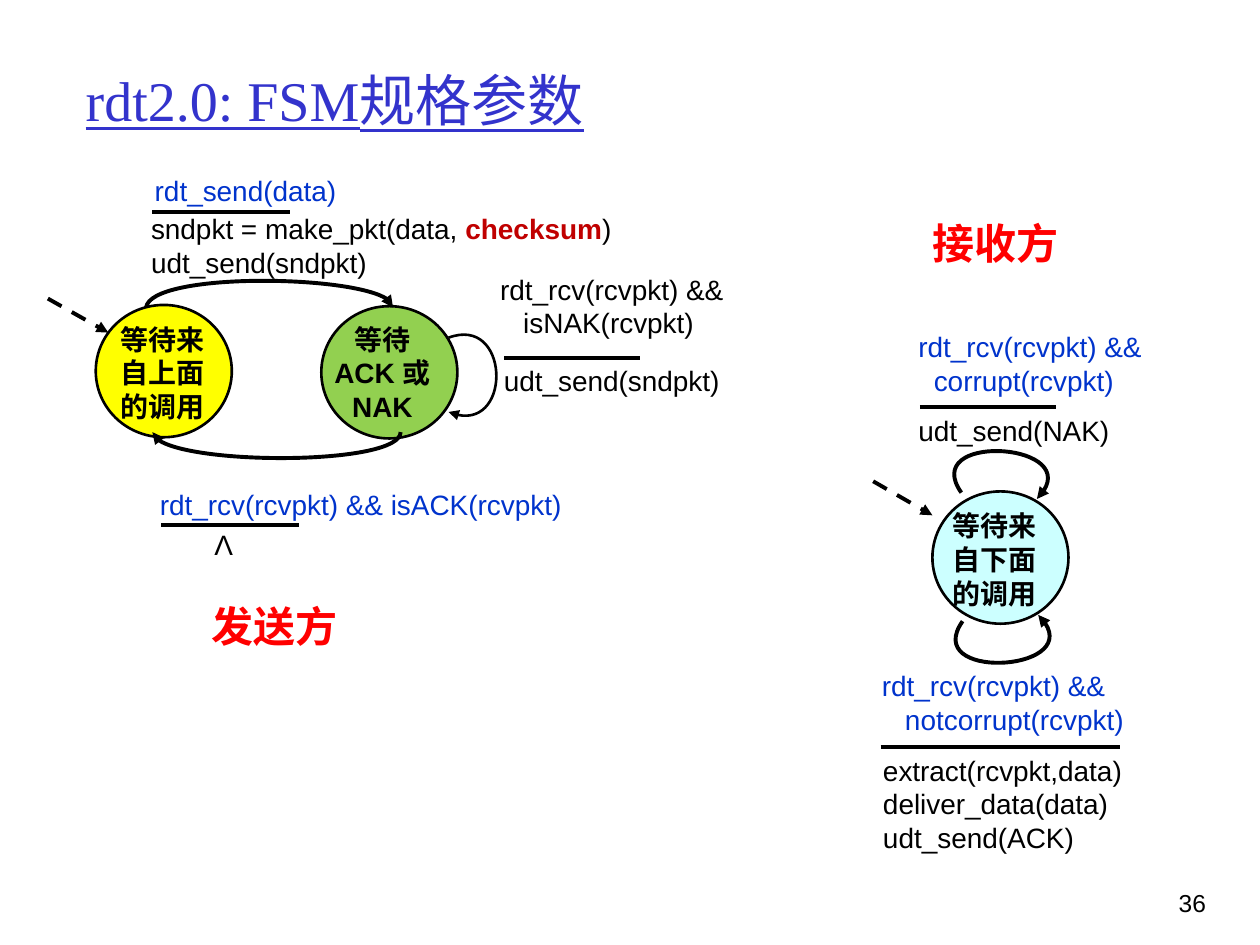
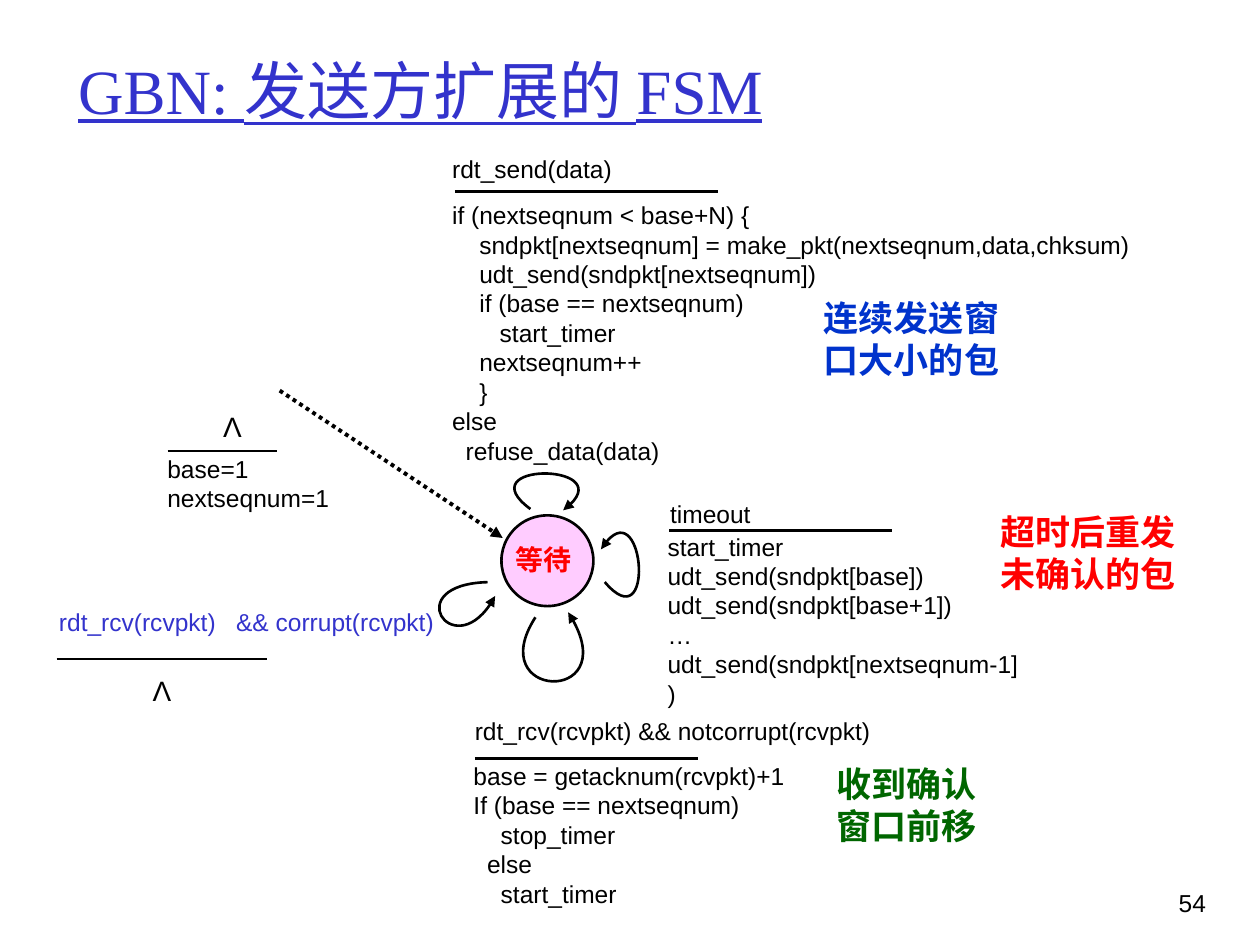
import dataclasses

import lxml.etree
import pptx
import pptx.dml.color
import pptx.enum.dml
import pptx.enum.shapes
import pptx.enum.text
import pptx.oxml.ns
import pptx.util

Inches = pptx.util.Inches
Pt = pptx.util.Pt
Align = pptx.enum.text.PP_ALIGN
Dash = pptx.enum.dml.MSO_LINE
qn = pptx.oxml.ns.qn

COLORS = {
    "ink": "000000", "title": "3333CC", "event": "0033CC", "red": "FF0000",
    "check": "C00000", "green": "006600", "call": "FFFF00", "ack": "92D050",
    "below": "CCFFFF", "wait": "FFCCFF",
}
LATIN = "Arial"
COMIC = "Comic Neue"
HAN = "Noto Sans CJK SC"
THIN, THICK = 1.5, 2.25


def color(name):
    return pptx.dml.color.RGBColor.from_string(COLORS[name])


def style(font, size, ink="ink", bold=False, face=LATIN):
    font.name, font.size, font.bold = face, Pt(size), bold
    font.color.rgb = color(ink)


def stroke(shape, width, head=False, dash=None):
    """Draw the outline in ink, without shadow, with an optional arrowhead."""
    line = shape.line
    line.color.rgb, line.width = color("ink"), Pt(width)
    if dash:
        line.dash_style = dash
    if head:
        lxml.etree.SubElement(line._get_or_add_ln(), qn("a:tailEnd"), type="triangle")


@dataclasses.dataclass
class Pane:
    """A region of a slide; its parts are placed from its top left corner."""
    slide: object
    left: float
    top: float

    def spot(self, x, y):
        return Inches(self.left + x), Inches(self.top + y)

    def text(self, x, y, w, h, words, size, ink="ink", bold=False,
             face=LATIN, align=Align.LEFT, wrap=True):
        box = self.slide.shapes.add_textbox(*self.spot(x, y), Inches(w), Inches(h))
        frame = box.text_frame
        frame.word_wrap = wrap
        frame.text = words
        for para in frame.paragraphs:
            para.alignment = align
            style(para.font, size, ink, bold, face)
        return frame

    def line(self, start, end, width, head=False, dash=None):
        link = self.slide.shapes.add_connector(
            pptx.enum.shapes.MSO_CONNECTOR.STRAIGHT, *self.spot(*start), *self.spot(*end))
        stroke(link, width, head, dash)
        lxml.etree.SubElement(link._element.spPr, qn("a:effectLst"))

    def rule(self, x, y, length, width=THICK):
        self.line((x, y), (x + length, y), width)

    def curve(self, points, width):
        """Draw a cubic arrow through start, two control points and end."""
        start, *rest = [self.spot(*point) for point in points]
        form = self.slide.shapes.build_freeform(*start)
        form.add_line_segments(rest, close=False)
        shape = form.convert_to_shape()
        shape.shadow.inherit = False
        shape.fill.background()
        stroke(shape, width, head=True)
        track = shape._element.find(".//" + qn("a:path"))
        bend = lxml.etree.SubElement(track, qn("a:cubicBezTo"))
        for step in track.findall(qn("a:lnTo")):
            bend.append(step[0])
            track.remove(step)

    def state(self, x, y, fill, w=1.08, h=1.05):
        oval = self.slide.shapes.add_shape(
            pptx.enum.shapes.MSO_SHAPE.OVAL, *self.spot(x, y), Inches(w), Inches(h))
        oval.shadow.inherit = False
        oval.fill.solid()
        oval.fill.fore_color.rgb = color(fill)
        stroke(oval, THIN)

    def label(self, x, y, w, h, words, size=16, ink="ink", face=LATIN):
        self.text(x, y, w, h, words, size, ink, True, face, Align.CENTER)

    def role(self, x, y, words):
        self.text(x, y, 1.22, 0.51, words, 24, "red", True, COMIC, Align.CENTER, False)

    def none(self, x, y):
        """Mark an empty event or action."""
        self.text(x, y, 0.35, 0.37, "Λ", 16, align=Align.CENTER, wrap=False)


def sender(pane):
    pane.state(0.76, 1.42, "call")
    pane.label(0.76, 1.51, 1.06, 0.86, "等待来自上面的调用")
    pane.state(2.55, 1.43, "ack")
    pane.label(2.51, 1.51, 1.05, 0.86, "等待ACK 或NAK")
    pane.line((0.38, 1.37), (0.86, 1.64), THICK, True, Dash.DASH)

    pane.text(1.13, 0.33, 2.47, 0.35, "rdt_send(data)", 16, "event")
    pane.rule(1.21, 0.68, 1.09)
    make = pane.text(1.1, 0.63, 3.98, 0.53,
                     "sndpkt = make_pkt(data, \nudt_send(sndpkt)", 16).paragraphs[0]
    for words, ink, bold in (("checksum", "check", True), (")", "ink", False)):
        run = make.add_run()
        run.text = words
        style(run.font, 16, ink, bold)
    pane.curve([(1.16, 1.44), (1.2, 1.16), (3.12, 1.18), (3.12, 1.44)], THICK)

    pane.text(3.87, 1.11, 2.28, 0.69, "rdt_rcv(rcvpkt) &&\n   isNAK(rcvpkt)", 16)
    pane.rule(4, 1.84, 1.08)
    pane.text(3.9, 1.84, 1.93, 0.44, "udt_send(sndpkt)", 16)
    pane.curve([(3.56, 1.68), (4.04, 1.5), (4.07, 2.48), (3.56, 2.27)], THIN)

    pane.text(1.17, 2.82, 3.88, 0.31, "rdt_rcv(rcvpkt) && isACK(rcvpkt)", 16, "event")
    pane.rule(1.28, 3.17, 1.09)
    pane.none(1.6, 3.14)
    pane.curve([(3.18, 2.43), (3.18, 2.69), (1.25, 2.7), (1.21, 2.43)], THICK)
    pane.role(1.57, 3.72, "发送方")


def receiver(pane):
    pane.role(1.29, 0.68, "接收方")
    pane.state(1.4, 2.9, "below")
    pane.label(1.4, 2.99, 0.98, 0.89, "等待来自下面的调用", face=COMIC)
    pane.line((0.93, 2.82), (1.4, 3.09), THICK, True, Dash.DASH)

    pane.text(1.19, 1.57, 2.1, 0.66, "rdt_rcv(rcvpkt) &&\n  corrupt(rcvpkt)", 16, "event")
    pane.rule(1.3, 2.23, 1.08)
    pane.text(1.19, 2.23, 2, 0.28, "udt_send(NAK)", 16)
    pane.curve([(1.63, 2.91), (1.3, 2.44), (2.67, 2.51), (2.23, 2.96)], THICK)

    pane.text(0.9, 4.26, 2.19, 0.77,
              "rdt_rcv(rcvpkt) &&\n   notcorrupt(rcvpkt)", 16, "event")
    pane.rule(0.99, 4.93, 1.9)
    pane.text(0.91, 4.93, 2.34, 0.94,
              "extract(rcvpkt,data)\ndeliver_data(data)\nudt_send(ACK)", 16)
    pane.curve([(1.64, 3.93), (1.31, 4.4), (2.69, 4.33), (2.24, 3.88)], THICK)


def hub(pane):
    """Draw the waiting state with its start arrow and four loops."""
    pane.state(0.98, 1.09, "wait", 0.73, 0.72)
    pane.label(0.87, 1.26, 0.88, 0.43, "等待", ink="red")
    pane.line((-0.78, 0.1), (0.99, 1.27), THICK, True, Dash.ROUND_DOT)
    for points in (
        [(1.21, 1.04), (0.71, 0.67), (1.98, 0.67), (1.47, 1.05)],
        [(1.8, 1.62), (2.2, 2.09), (2.11, 0.83), (1.77, 1.36)],
        [(1.25, 1.9), (0.83, 2.55), (1.99, 2.6), (1.51, 1.86)],
        [(0.87, 1.62), (0.17, 1.64), (0.62, 2.31), (0.93, 1.73)],
    ):
        pane.curve(points, THIN)


def start(pane):
    pane.none(1.67, 0.2)
    pane.rule(1.33, 0.58, 0.87, THIN)
    pane.text(1.23, 0.55, 1.62, 0.55, "base=1\nnextseqnum=1", 14)


def corrupt(pane):
    pane.text(0.37, 0.77, 3.5, 0.4, "rdt_rcv(rcvpkt)   && corrupt(rcvpkt)", 14, "title")
    pane.rule(0.45, 1.23, 1.67, THIN)
    pane.none(1.11, 1.3)


def send(pane):
    pane.text(0.49, 0.17, 2.55, 0.28, "rdt_send(data)", 14)
    pane.rule(0.61, 0.52, 2.09)
    pane.text(0.49, 0.54, 6.04, 2.14, """if (nextseqnum < base+N) {
    sndpkt[nextseqnum] = make_pkt(nextseqnum,data,chksum)
    udt_send(sndpkt[nextseqnum])
    if (base == nextseqnum)
       start_timer
    nextseqnum++
    }
else
  refuse_data(data)""", 14)
    pane.text(3.44, 1.3, 1.79, 0.79, "连续发送窗口大小的包", 20, "event", True, HAN)


def timeout(pane):
    pane.text(0.22, 0.91, 1.2, 0.3, "timeout", 14)
    pane.rule(0.31, 1.21, 1.77, THIN)
    pane.text(0.2, 1.17, 3.04, 1.43, """start_timer
udt_send(sndpkt[base])
udt_send(sndpkt[base+1])
…
udt_send(sndpkt[nextseqnum-1])""", 14)
    pane.label(2.74, 1, 1.79, 0.79, "超时后重发\n未确认的包", 20, "red", HAN)


def ack(pane):
    pane.text(0.67, 0.63, 3.41, 0.39, "rdt_rcv(rcvpkt) && notcorrupt(rcvpkt)", 14)
    pane.rule(0.77, 1.02, 1.77)
    pane.text(0.66, 0.99, 4.03, 1.34, """base = getacknum(rcvpkt)+1
If (base == nextseqnum)
    stop_timer
  else
    start_timer""", 14)
    pane.label(3.45, 1, 1.49, 0.79, "收到确认\n窗口前移", 20, "green", HAN)


def page(deck, words, size, box, number):
    """Add a title-only slide with its title and page number."""
    slide = deck.slides.add_slide(deck.slide_layouts[5])
    title = slide.shapes.title
    title.left, title.top, title.width, title.height = map(Inches, box)
    frame = title.text_frame
    frame.text = words
    frame.vertical_anchor = pptx.enum.text.MSO_ANCHOR.MIDDLE
    frame.auto_size = pptx.enum.text.MSO_AUTO_SIZE.NONE
    para = frame.paragraphs[0]
    para.alignment = Align.LEFT
    style(para.font, size, "title", face="Times New Roman")
    para.font.underline = True
    Pane(slide, 8.93, 7).text(0, 0, 0.74, 0.5, number, 14, align=Align.RIGHT)
    return slide


def main():
    deck = pptx.Presentation()
    deck.slide_width, deck.slide_height = Inches(10), Inches(7.5)

    slide = page(deck, "rdt2.0: FSM规格参数", 32, (0.58, 0.25, 8.5, 1.08), "36")
    sender(Pane(slide, 0, 1))
    receiver(Pane(slide, 6, 1))

    slide = page(deck, "GBN: 发送方扩展的 FSM", 36, (0.52, 0.32, 8.5, 0.77), "54")
    hub(Pane(slide, 3, 3))
    start(Pane(slide, 0, 3))
    corrupt(Pane(slide, 0, 4))
    send(Pane(slide, 3, 1))
    timeout(Pane(slide, 5, 3))
    ack(Pane(slide, 3, 5))
    deck.save("out.pptx")


if __name__ == "__main__":
    main()
